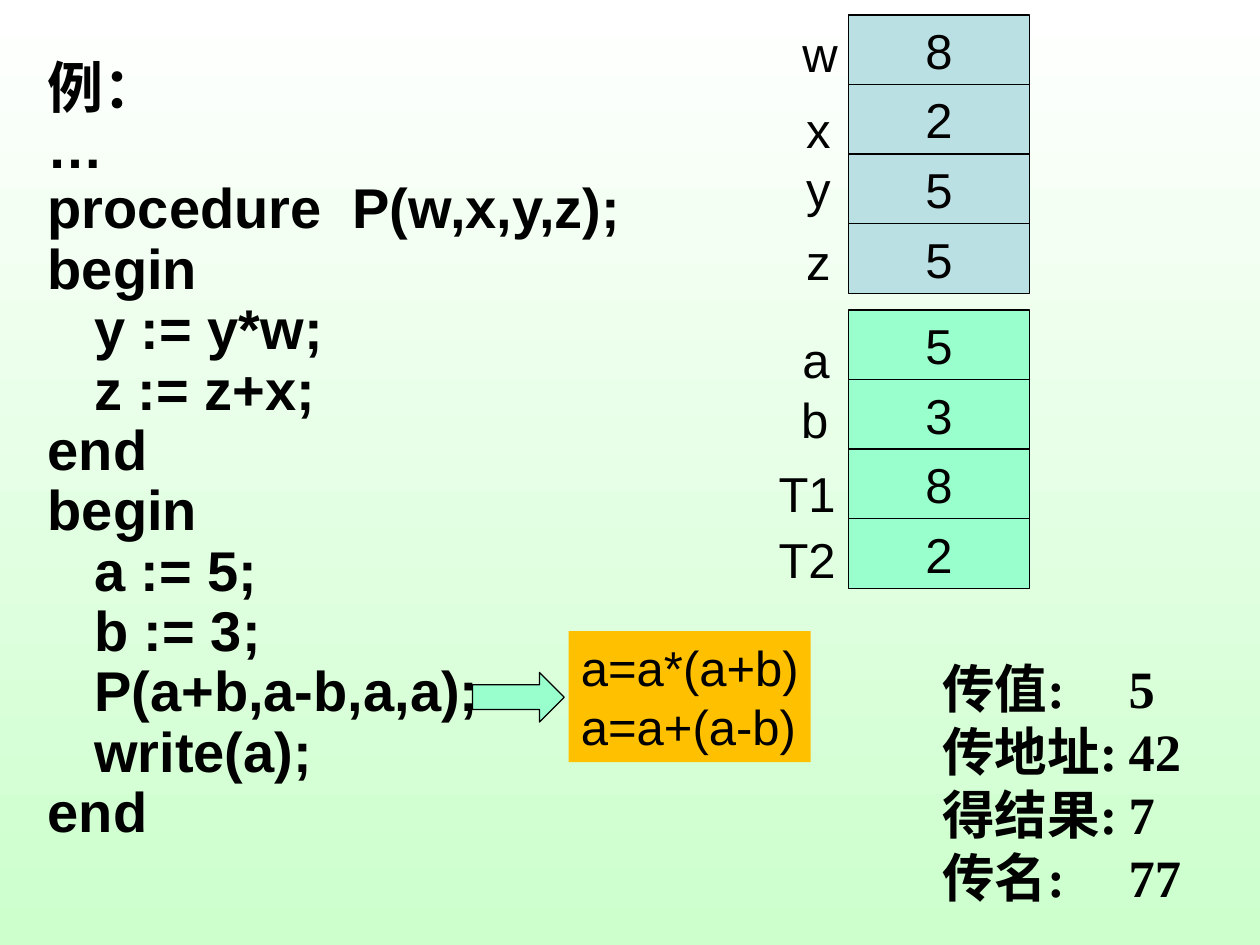
import pptx
import pptx.util
import pptx.dml.color
import pptx.enum.shapes
import pptx.enum.text
import lxml.etree

Pt = pptx.util.Pt
SHAPES = pptx.enum.shapes.MSO_SHAPE
ALIGN = pptx.enum.text.PP_ALIGN
ANCHOR = pptx.enum.text.MSO_ANCHOR
COLOURS = {
    "text": "000000",
    "top": "FFFFFF",
    "bottom": "CCFFCC",
    "parameter": "BBE0E3",
    "variable": "99FFCC",
    "formula": "FFC000",
}
CODE = [
    "例：",
    "…",
    "procedure  P(w,x,y,z);",
    "begin",
    "   y := y*w;",
    "   z := z+x;",
    "end",
    "begin",
    "   a := 5;",
    "   b := 3;",
    "   P(a+b,a-b,a,a);",
    "   write(a);",
    "end",
]
CELL_LEFT, CELL_WIDTH, CELL_HEIGHT = 484.8, 103.5, 39.75
MEMORY = [
    ("parameter", 8.6, "8255"),
    ("variable", 177.2, "5382"),
]
LABELS = [
    ("w", 451.4, 10.1, 34.6),
    ("x", 453.6, 53.3, 28.1),
    ("y", 453.6, 87.1, 28.1),
    ("z", 453.6, 128.9, 28.1),
    ("a", 451.4, 185, 29.5),
    ("b", 450.7, 218.9, 29.5),
    ("T1", 437.8, 261.4, 46.8),
    ("T2", 437.8, 298.8, 46.8),
]


def colour(name):
    return pptx.dml.color.RGBColor.from_string(COLOURS[name])


def write(frame, lines, size=28, font="Arial", bold=False, align=ALIGN.LEFT,
          anchor=ANCHOR.TOP, spacing=None, wrap=False):
    frame.word_wrap = wrap
    frame.vertical_anchor = anchor
    for index, line in enumerate(lines):
        paragraph = frame.add_paragraph() if index else frame.paragraphs[0]
        paragraph.alignment = align
        if spacing:
            paragraph.line_spacing = Pt(spacing)
        run = paragraph.add_run()
        run.text = line
        run.font.size = Pt(size)
        run.font.name = font
        run.font.bold = bold
        run.font.color.rgb = colour("text")
        if line[0] >= "一":
            east_asian = lxml.etree.SubElement(
                run._r.get_or_add_rPr(), pptx.oxml.ns.qn("a:ea"))
            east_asian.set("typeface", "Noto Sans CJK SC")


class SlideBuilder:
    """Draws styled elements on the current slide."""

    def __init__(self, presentation):
        self.slide = presentation.slides.add_slide(presentation.slide_layouts[6])

    def background(self, first, last):
        fill = self.slide.background.fill
        fill.gradient()
        fill.gradient_angle = 270
        for stop, name, position in zip(fill.gradient_stops, (first, last), (0, 1)):
            stop.color.rgb = colour(name)
            stop.position = position

    def text(self, lines, left, top, width, height, **style):
        box = self.slide.shapes.add_textbox(Pt(left), Pt(top), Pt(width), Pt(height))
        write(box.text_frame, lines, **style)

    def shape(self, kind, fill, left, top, width, height, lines=(), outline=True,
              **style):
        shape = self.slide.shapes.add_shape(
            kind, Pt(left), Pt(top), Pt(width), Pt(height))
        shape.shadow.inherit = False
        shape.fill.solid()
        shape.fill.fore_color.rgb = colour(fill)
        if outline:
            shape.line.color.rgb = colour("text")
            shape.line.width = Pt(0.75)
        else:
            shape.line.fill.background()
        write(shape.text_frame, lines, **style)

    def memory(self, fill, top, values):
        for row, value in enumerate(values):
            self.shape(SHAPES.RECTANGLE, fill, CELL_LEFT, top + row * CELL_HEIGHT,
                       CELL_WIDTH, CELL_HEIGHT, [value],
                       align=ALIGN.CENTER, anchor=ANCHOR.MIDDLE)


def main():
    presentation = pptx.Presentation()
    presentation.slide_width = Pt(720)
    presentation.slide_height = Pt(540)
    builder = SlideBuilder(presentation)
    builder.background("top", "bottom")
    builder.text(CODE, 20.2, 30.2, 390.2, 498.2, size=32, bold=True,
                 spacing=34.5, wrap=True)
    results = dict(size=30, font="Times New Roman", bold=True, spacing=36, wrap=True)
    builder.text(["传值:", "传地址:", "得结果:", "传名:"],
                 531.4, 371.5, 133.9, 151.2, **results)
    builder.text(["5", "42", "7", "77"], 637.9, 371.5, 74.9, 151.2, **results)
    for fill, top, values in MEMORY:
        builder.memory(fill, top, values)
    for name, left, top, width in LABELS:
        builder.text([name], left, top, width, 41)
    builder.shape(SHAPES.RECTANGLE, "formula", 324.9, 360.7, 138.4, 74.9,
                  ["a=a*(a+b)", "a=a+(a-b)"], outline=False)
    builder.shape(SHAPES.RIGHT_ARROW, "variable", 270, 384.3, 52.4, 28.3)
    presentation.save("out.pptx")


if __name__ == "__main__":
    main()
